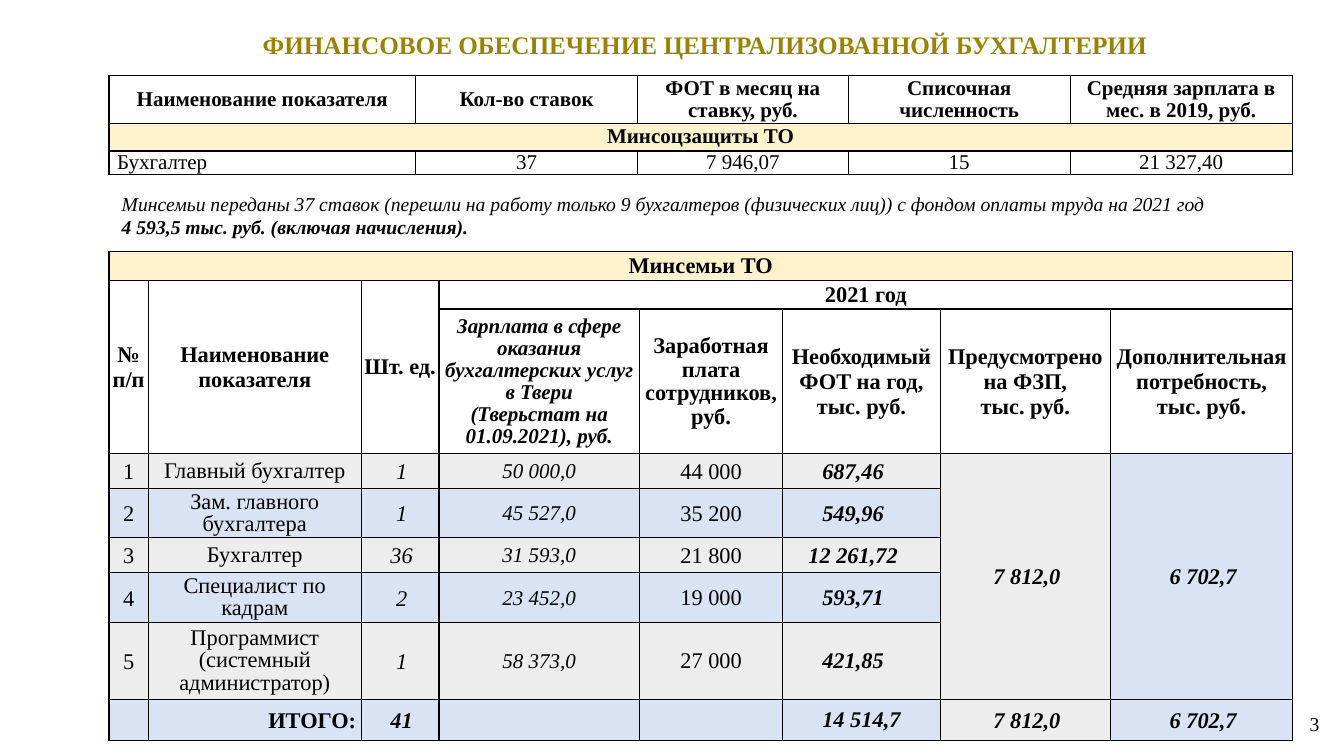
from pptx import Presentation
from pptx.dml.color import RGBColor
from pptx.enum.shapes import MSO_SHAPE
from pptx.enum.text import MSO_ANCHOR, PP_ALIGN
from pptx.oxml import parse_xml
from pptx.oxml.ns import nsdecls
from pptx.util import Pt

LEFT, MID, RIGHT = PP_ALIGN.LEFT, PP_ALIGN.CENTER, PP_ALIGN.RIGHT
BLACK = RGBColor(0x00, 0x00, 0x00)
GOLD = RGBColor(0x99, 0x83, 0x07)
CREAM = RGBColor(0xFF, 0xF2, 0xCC)
GRAY = RGBColor(0xED, 0xED, 0xED)
BLUE = RGBColor(0xDA, 0xE3, 0xF3)
FACE = "Times New Roman"

TITLE = "ФИНАНСОВОЕ ОБЕСПЕЧЕНИЕ ЦЕНТРАЛИЗОВАННОЙ БУХГАЛТЕРИИ"
NOTE = (
    "Минсемьи переданы 37 ставок (перешли на работу только 9 бухгалтеров "
    "(физических лиц)) с фондом оплаты труда на 2021 год\n"
    "4 593,5 тыс. руб. (включая начисления)."
)
PAGE = "3"

RATES = [
    ["Наименование показателя", "Кол-во ставок", "ФОТ в месяц на ставку, руб.",
     "Списочная численность", "Средняя зарплата в мес. в 2019, руб."],
    ["Минсоцзащиты ТО", "", "", "", ""],
    ["Бухгалтер", "37", "7 946,07", "15", "21 327,40"],
]
STAFF = [
    ["Минсемьи ТО", "", "", "", "", "", "", ""],
    ["№ п/п", "Наименование показателя", "Шт. ед.", "2021 год", "", "", "", ""],
    ["", "", "",
     "Зарплата в сфере оказания бухгалтерских услуг в Твери\n"
     "(Тверьстат на 01.09.2021), руб.",
     "Заработная плата сотрудников, руб.",
     "Необходимый ФОТ на год,\nтыс. руб.",
     "Предусмотрено на ФЗП,\nтыс. руб.",
     "Дополнительная потребность,\nтыс. руб."],
    ["1", "Главный бухгалтер", "1", "50 000,0", "44 000", "687,46", "7 812,0", "6 702,7"],
    ["2", "Зам. главного бухгалтера", "1", "45 527,0", "35 200", "549,96", "", ""],
    ["3", "Бухгалтер", "36", "31 593,0", "21 800", "12 261,72", "", ""],
    ["4", "Специалист по кадрам", "2", "23 452,0", "19 000", "593,71", "", ""],
    ["5", "Программист (системный администратор)", "1", "58 373,0", "27 000",
     "421,85", "", ""],
    ["", "ИТОГО:", "41", "", "", "14 514,7", "7 812,0", "6 702,7"],
]

RATE_COLS = [219.2, 158.4, 150.6, 158.4, 158.7]
RATE_ROWS = [32.9, 19.6, 16.4]
STAFF_COLS = [28.2, 152, 55.6, 143.2, 102.4, 112.4, 121.8, 130]
STAFF_ROWS = [20.5, 20.5, 101.5, 23.5, 32.5, 23.5, 32.5, 55, 29.5]
RATE_SPANS = [(1, 0, 1, 4)]
STAFF_SPANS = [(0, 0, 0, 7), (1, 0, 2, 0), (1, 1, 2, 1), (1, 2, 2, 2),
               (1, 3, 1, 7), (3, 6, 7, 6), (3, 7, 7, 7)]

EDGE = 77.8
WIDE = 845.3
HEAD, LAST = 3, 8
SLIM = (0.7, 0.7, 0.7, 0)
ROOMY = (5.8, 3.6, 3.6, 2.2)
SIDES = ("margin_left", "margin_top", "margin_right", "margin_bottom")


def write(frame, text, font, align=MID, space=None):
    frame.text = text
    for para in frame.paragraphs:
        para.alignment = align
        if space:
            para.line_spacing = space
        for run in para.runs:
            run.font.name = FACE
            run.font.color.rgb = font.get("color", BLACK)
            for key, val in font.items():
                if key != "color":
                    setattr(run.font, key, val)


def rate_style(row, col):
    font = {"size": Pt(15), "bold": row < 2}
    name = row == 2 and col == 0
    return {
        "font": font,
        "align": LEFT if name else MID,
        "space": 0.95,
        "pad": (5.8 if name else 0, 0, 0, 0),
        "fill": CREAM if row == 1 else None,
    }


def staff_style(row, col):
    head, last = row < HEAD, row == LAST
    wage = row >= 2 and col == 3
    font = {
        "size": Pt(15 if wage else 16),
        "bold": head or last or col >= 5,
        "italic": wage or (not head and col in (2, 5, 6, 7)),
    }
    align, space, pad, fill = MID, None, SLIM, None
    if row == 0:
        fill = CREAM
    elif not head:
        fill = BLUE if row % 2 == 0 or col == 7 else GRAY
        if last and col == 6:
            fill = GRAY
        if col == 0:
            pad = (0, 3.6, 0, 2.2)
        elif col in (2, 6, 7) or last and col == 1:
            pad = ROOMY
        elif col == 5 and not last:
            pad = (0.7, 0.7, 12.7, 0)
        if col == 1:
            space, align = (None, RIGHT) if last else (0.9, MID)
    if row == 2 and col in (3, 4):
        space = 0.95
    return {"font": font, "align": align, "space": space, "pad": pad, "fill": fill}


def outline(cell):
    props = cell._tc.get_or_add_tcPr()
    for side in "LRTB":
        props.append(parse_xml(
            f'<a:ln{side} {nsdecls("a")} w="12700"><a:solidFill>'
            f'<a:srgbClr val="{BLACK}"/></a:solidFill></a:ln{side}>'))


def add_grid(slide, top, data, cols, rows, spans, style):
    table = slide.shapes.add_table(
        len(rows), len(cols), Pt(EDGE), Pt(top), Pt(sum(cols)), Pt(sum(rows))).table
    table.first_row = table.horz_banding = False
    for part, size in zip(table.columns, cols):
        part.width = Pt(size)
    for part, size in zip(table.rows, rows):
        part.height = Pt(size)
    for r, line in enumerate(data):
        for c, text in enumerate(line):
            cell, look = table.cell(r, c), style(r, c)
            outline(cell)
            if look["fill"] is None:
                cell.fill.background()
            else:
                cell.fill.solid()
                cell.fill.fore_color.rgb = look["fill"]
            cell.vertical_anchor = MSO_ANCHOR.MIDDLE
            for side, size in zip(SIDES, look["pad"]):
                setattr(cell, side, Pt(size))
            if text:
                write(cell.text_frame, text, look["font"], look["align"], look["space"])
    for r, c, end, edge in spans:
        table.cell(r, c).merge(table.cell(end, edge))


def add_label(slide, box, text, font, align):
    frame = slide.shapes.add_textbox(*map(Pt, box)).text_frame
    frame.word_wrap = True
    frame.vertical_anchor = MSO_ANCHOR.MIDDLE
    write(frame, text, font, align)


def add_note(slide):
    shape = slide.shapes.add_shape(
        MSO_SHAPE.ROUNDED_RECTANGLE, Pt(EDGE), Pt(132.5), Pt(WIDE), Pt(42.5))
    shape.shadow.inherit = False
    shape.fill.background()
    shape.line.fill.background()
    frame = shape.text_frame
    frame.word_wrap = True
    frame.vertical_anchor = MSO_ANCHOR.MIDDLE
    write(frame, NOTE, {"size": Pt(14), "italic": True}, LEFT)
    frame.paragraphs[1].runs[0].font.bold = True


def main():
    deck = Presentation()
    deck.slide_width, deck.slide_height = Pt(960), Pt(540)
    slide = deck.slides.add_slide(deck.slide_layouts[6])
    add_label(slide, (76.3, 14.4, 854.6, 35.3), TITLE,
              {"size": Pt(18), "bold": True, "color": GOLD}, MID)
    add_grid(slide, 179.7, STAFF, STAFF_COLS, STAFF_ROWS, STAFF_SPANS, staff_style)
    add_label(slide, (712, 502.6, 237.6, 28.8), PAGE, {"size": Pt(14)}, RIGHT)
    add_grid(slide, 54, RATES, RATE_COLS, RATE_ROWS, RATE_SPANS, rate_style)
    add_note(slide)
    deck.save("out.pptx")


if __name__ == "__main__":
    main()
